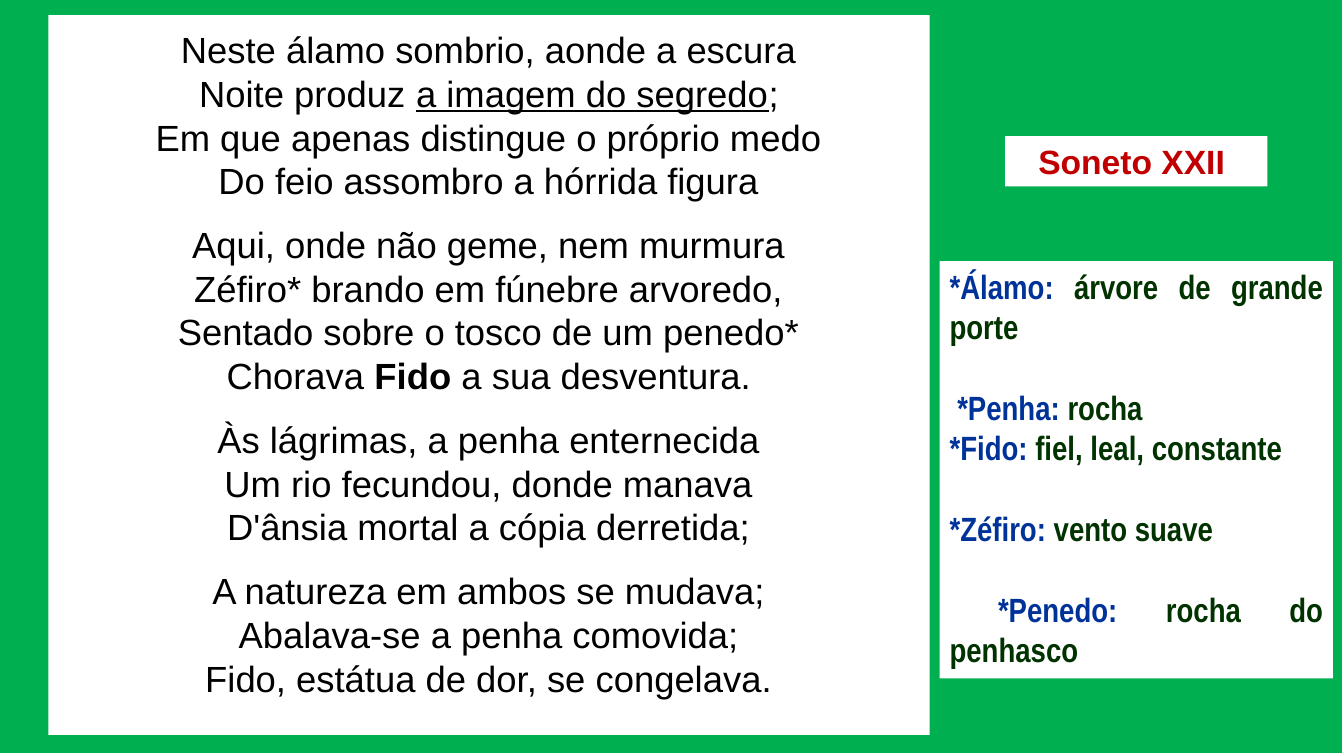
import pptx
import pptx.dml.color
import pptx.enum.shapes
import pptx.enum.text
import pptx.util

Inches = pptx.util.Inches
Pt = pptx.util.Pt
RGBColor = pptx.dml.color.RGBColor
Align = pptx.enum.text.PP_ALIGN
Anchor = pptx.enum.text.MSO_ANCHOR

GREEN = RGBColor(0x00, 0xB0, 0x50)
WHITE = RGBColor(0xFF, 0xFF, 0xFF)
BLACK = RGBColor(0x00, 0x00, 0x00)
RED = RGBColor(0xC0, 0x00, 0x00)
TERM_BLUE = RGBColor(0x00, 0x33, 0x99)
MEANING_GREEN = RGBColor(0x00, 0x33, 0x00)

# Each verse is a list of (text, emphasis) pieces.
STANZAS = [
    [
        [("Neste álamo sombrio, aonde a escura", None)],
        [("Noite produz ", None), ("a imagem do segredo", "underline"), (";", None)],
        [("Em que apenas distingue o próprio medo", None)],
        [("Do feio assombro a hórrida figura", None)],
    ],
    [
        [("Aqui, onde não geme, nem murmura", None)],
        [("Zéfiro* brando em fúnebre arvoredo,", None)],
        [("Sentado sobre o tosco de um penedo*", None)],
        [("Chorava ", None), ("Fido", "bold"), (" a sua desventura.", None)],
    ],
    [
        [("Às lágrimas, a penha enternecida", None)],
        [("Um rio fecundou, donde manava", None)],
        [("D'ânsia mortal a cópia derretida;", None)],
    ],
    [
        [("A natureza em ambos se mudava;", None)],
        [("Abalava-se a penha comovida;", None)],
        [("Fido, estátua de dor, se congelava.", None)],
    ],
]

# Term, meaning, whether a line-high gap comes before it.
GLOSSARY = [
    ("*Álamo: ", "árvore de grande porte", False),
    (" *Penha: ", "rocha", True),
    ("*Fido: ", "fiel, leal, constante", False),
    ("*Zéfiro: ", "vento suave", True),
    (" *Penedo: ", "rocha do penhasco", True),
]


class SonnetSlide:
    def __init__(self, presentation):
        self.slide = presentation.slides.add_slide(presentation.slide_layouts[5])

    def panel(self, left, top, width, height, color):
        panel = self.slide.shapes.add_shape(
            pptx.enum.shapes.MSO_SHAPE.RECTANGLE,
            Inches(left), Inches(top), Inches(width), Inches(height))
        panel.shadow.inherit = False
        panel.fill.solid()
        panel.fill.fore_color.rgb = color
        panel.line.fill.background()
        panel.text_frame.word_wrap = True
        panel.text_frame.vertical_anchor = Anchor.TOP
        return panel

    def backdrop(self):
        backdrop = self.panel(0, -0.03, 13.31, 7.5, GREEN)
        self.slide.shapes.title.element.addprevious(backdrop.element)

    def title(self, text, left, top, width, height):
        title = self.slide.shapes.title
        title.left, title.top = Inches(left), Inches(top)
        title.width, title.height = Inches(width), Inches(height)
        title.fill.solid()
        title.fill.fore_color.rgb = WHITE
        frame = title.text_frame
        frame.text = text
        frame.auto_size = pptx.enum.text.MSO_AUTO_SIZE.NONE
        frame.vertical_anchor = Anchor.MIDDLE
        frame.paragraphs[0].alignment = Align.CENTER
        self.style(frame.paragraphs[0].runs[0], "Arial", 24, RED, bold=True)

    def style(self, run, face, size, color, bold=False, underline=False):
        run.font.name = face
        run.font.size = Pt(size)
        run.font.color.rgb = color
        run.font.bold = bold
        run.font.underline = underline

    def paragraph(self, frame, index, alignment, line_height, gap):
        """Return the paragraph at index, with a gap above all but the first."""
        paragraph = frame.add_paragraph() if index else frame.paragraphs[0]
        paragraph.alignment = alignment
        paragraph.line_spacing = Pt(line_height)
        paragraph.space_before = Pt(gap if index else 0)
        return paragraph

    def poem(self, stanzas, left, top, width, height):
        frame = self.panel(left, top, width, height, WHITE).text_frame
        frame.margin_top = Inches(0.12)
        for index, verses in enumerate(stanzas):
            stanza = self.paragraph(frame, index, Align.CENTER, 31.2, 14.4)
            for number, verse in enumerate(verses):
                if number:
                    stanza.add_line_break()
                for text, emphasis in verse:
                    piece = stanza.add_run()
                    piece.text = text
                    self.style(piece, "Arial", 26, BLACK,
                               emphasis == "bold", emphasis == "underline")

    def glossary(self, entries, left, top, width, height):
        frame = self.panel(left, top, width, height, WHITE).text_frame
        for index, (term, meaning, gap) in enumerate(entries):
            entry = self.paragraph(frame, index, Align.JUSTIFY, 28.8, 28.8 if gap else 0)
            for text, color in ((term, TERM_BLUE), (meaning, MEANING_GREEN)):
                piece = entry.add_run()
                piece.text = text
                self.style(piece, "Arial Narrow", 24, color, bold=True)


def main():
    presentation = pptx.Presentation()
    presentation.slide_width = Inches(13.33)
    presentation.slide_height = Inches(7.5)
    sonnet = SonnetSlide(presentation)
    sonnet.backdrop()
    sonnet.poem(STANZAS, 0.48, 0.15, 8.74, 7.14)
    sonnet.title("Soneto XXII ", 9.97, 1.35, 2.6, 0.5)
    sonnet.glossary(GLOSSARY, 9.32, 2.59, 3.9, 4.14)
    presentation.save("out.pptx")


if __name__ == "__main__":
    main()
